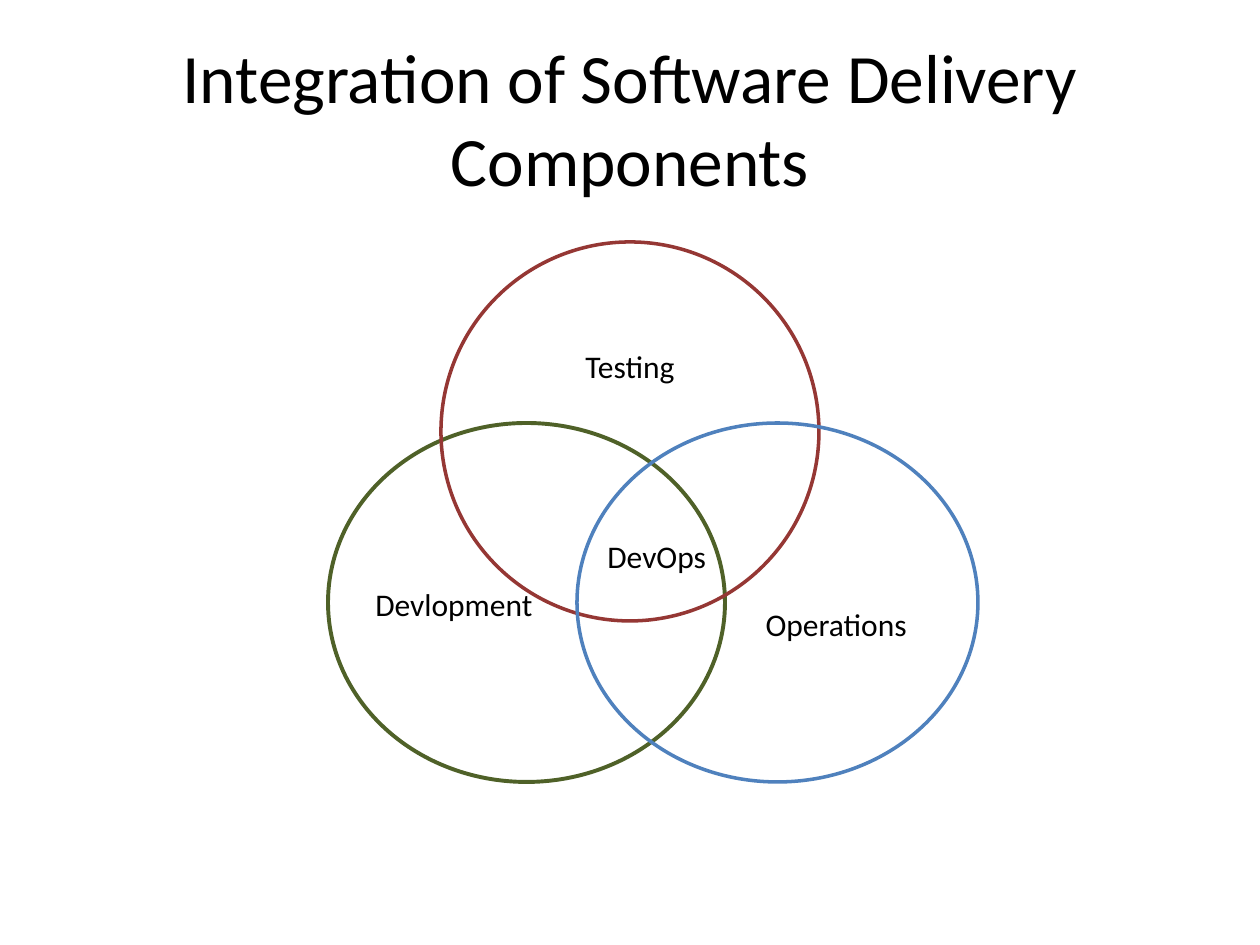
from dataclasses import dataclass

from pptx import Presentation
from pptx.dml.color import RGBColor
from pptx.enum.shapes import MSO_SHAPE
from pptx.enum.text import MSO_ANCHOR, MSO_AUTO_SIZE, PP_ALIGN
from pptx.slide import Slide
from pptx.text.text import TextFrame
from pptx.util import Emu, Pt

PX = 914400 // 126


@dataclass(frozen=True)
class Theme:
    font: str = "Calibri"
    text: str = "000000"
    development: str = "4F6128"
    testing: str = "953734"
    operations: str = "4F81BD"
    title_size: float = 39.6
    label_size: float = 18


THEME = Theme()


@dataclass(frozen=True)
class Box:
    left: int
    top: int
    width: int
    height: int

    def emu(self) -> tuple[Emu, Emu, Emu, Emu]:
        return (Emu(self.left * PX), Emu(self.top * PX),
                Emu(self.width * PX), Emu(self.height * PX))


@dataclass(frozen=True)
class Circle:
    box: Box
    color: str
    line_width: float = 2
    label: str = ""
    align: PP_ALIGN = PP_ALIGN.CENTER
    anchor: MSO_ANCHOR = MSO_ANCHOR.MIDDLE


@dataclass(frozen=True)
class Label:
    box: Box
    text: str


CIRCLES = [
    Circle(Box(328, 423, 397, 359), THEME.development, 2.25),
    Circle(Box(441, 242, 378, 379), THEME.testing, label="Testing",
           anchor=MSO_ANCHOR.TOP),
    Circle(Box(577, 423, 401, 359), THEME.operations, label="Operations",
           align=PP_ALIGN.RIGHT),
]
LABELS = [
    Label(Box(595, 531, 130, 50), "DevOps"),
    Label(Box(363, 541, 214, 126), "Devlopment"),
]


def write_text(frame: TextFrame, text: str, size: float, align: PP_ALIGN,
               anchor: MSO_ANCHOR = MSO_ANCHOR.MIDDLE) -> None:
    frame.word_wrap = True
    frame.auto_size = MSO_AUTO_SIZE.NONE
    frame.vertical_anchor = anchor
    paragraph = frame.paragraphs[0]
    paragraph.text = text
    paragraph.alignment = align
    paragraph.font.name = THEME.font
    paragraph.font.size = Pt(size)
    paragraph.font.color.rgb = RGBColor.from_string(THEME.text)


def add_title(slide: Slide, box: Box, text: str) -> None:
    title = slide.shapes.title
    title.left, title.top, title.width, title.height = box.emu()
    write_text(title.text_frame, text, THEME.title_size, PP_ALIGN.CENTER)


def add_circle(slide: Slide, circle: Circle) -> None:
    """Draw an outlined circle, its label lowered clear of the overlaps."""
    shape = slide.shapes.add_shape(MSO_SHAPE.OVAL, *circle.box.emu())
    shape.shadow.inherit = False
    shape.fill.background()
    shape.line.color.rgb = RGBColor.from_string(circle.color)
    shape.line.width = Pt(circle.line_width)
    if circle.label:
        shape.text_frame.margin_top = Emu(50 * PX)
        write_text(shape.text_frame, circle.label, THEME.label_size,
                   circle.align, circle.anchor)


def add_label(slide: Slide, label: Label) -> None:
    text_box = slide.shapes.add_textbox(*label.box.emu())
    write_text(text_box.text_frame, label.text, THEME.label_size, PP_ALIGN.LEFT)


def main() -> None:
    presentation = Presentation()
    presentation.slide_width = Emu(1260 * PX)
    presentation.slide_height = Emu(945 * PX)
    slide = presentation.slides.add_slide(presentation.slide_layouts[5])
    add_title(slide, Box(63, 38, 1134, 158),
              "Integration of Software Delivery Components")
    for circle in CIRCLES:
        add_circle(slide, circle)
    for label in LABELS:
        add_label(slide, label)
    presentation.save("out.pptx")


if __name__ == "__main__":
    main()
